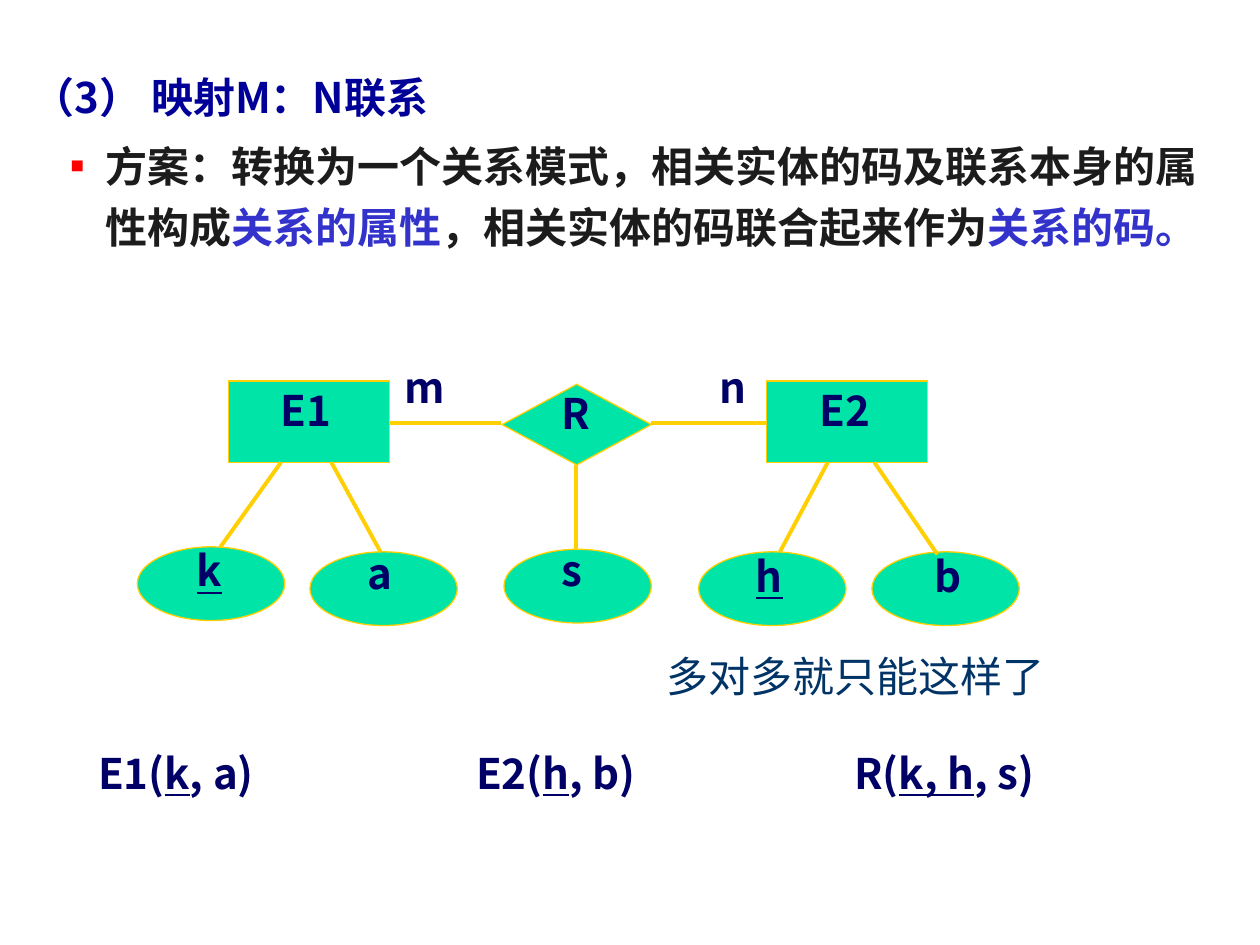
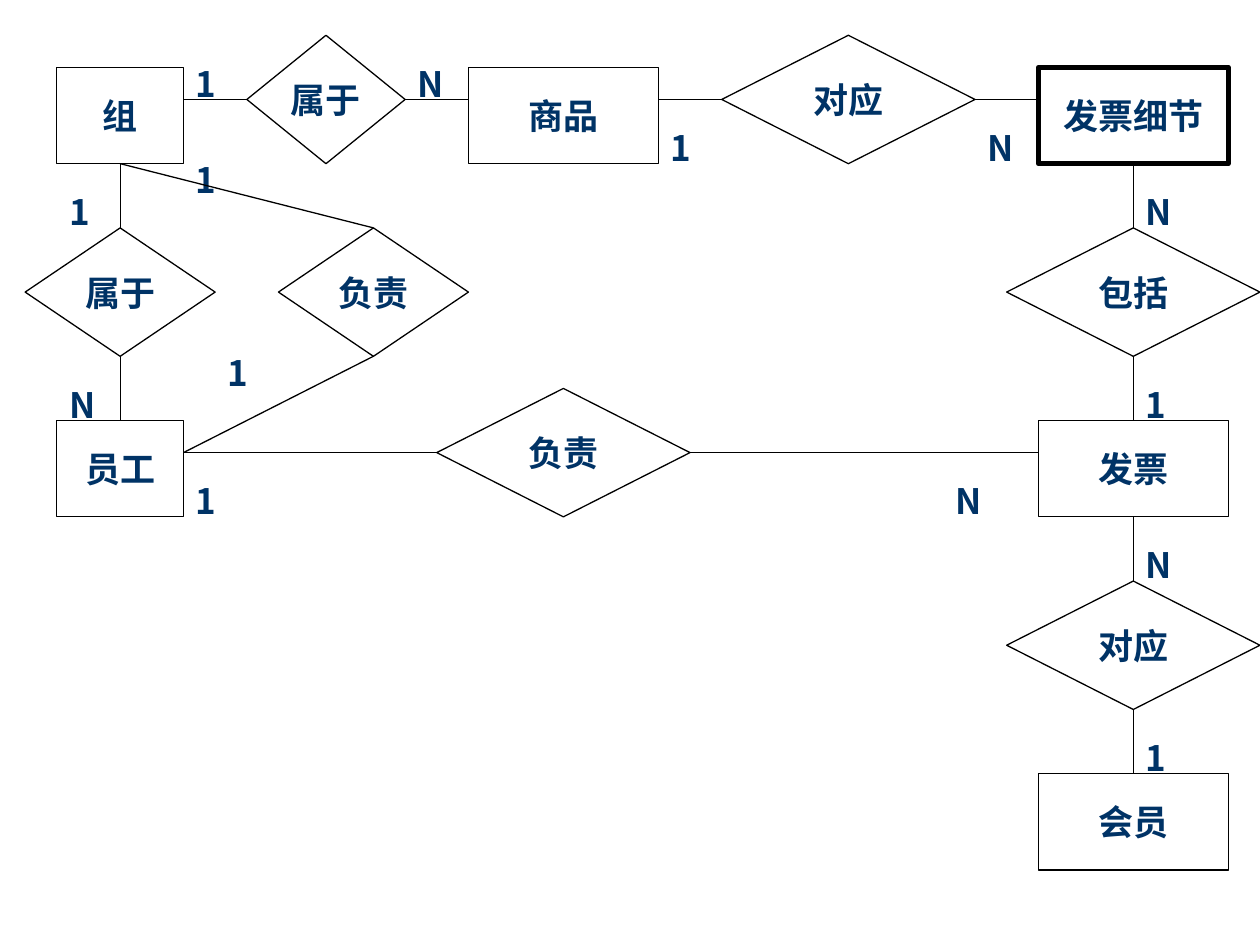
from dataclasses import dataclass

from lxml import etree
from pptx import Presentation
from pptx.dml.color import RGBColor
from pptx.enum.shapes import MSO_CONNECTOR, MSO_SHAPE
from pptx.enum.text import MSO_ANCHOR, MSO_AUTO_SIZE, PP_ALIGN
from pptx.oxml.ns import qn
from pptx.util import Inches, Pt

RECT, OVAL, DIAMOND = MSO_SHAPE.RECTANGLE, MSO_SHAPE.OVAL, MSO_SHAPE.DIAMOND
STRAIGHT = MSO_CONNECTOR.STRAIGHT
TOP, MIDDLE = MSO_ANCHOR.TOP, MSO_ANCHOR.MIDDLE
LEFT, CENTER, JUSTIFY = PP_ALIGN.LEFT, PP_ALIGN.CENTER, PP_ALIGN.JUSTIFY
NO_AUTOFIT = MSO_AUTO_SIZE.NONE

COLORS = {
    "white": "FFFFFF", "black": "000000", "heading": "000099", "body": "1C1C1C",
    "accent": "3333CC", "bullet": "FF0000", "node": "00E4A8", "edge": "FFCF01",
    "label": "000066", "note": "003366",
}
SANS, NOTE_FONT = "Noto Sans CJK SC", "Roboto"
WIDTH, HEIGHT = 10, 7.5


@dataclass
class Grid:
    """Places columns and rows on a slide, in inches."""
    left: float
    top: float
    column: float
    row: float

    def point(self, column, row):
        """Return the position of a grid crossing."""
        return (Inches(self.left + column * self.column),
                Inches(self.top + row * self.row))

    def area(self, column, row, columns, rows):
        """Return left, top, width and height of a block of cells."""
        return (*self.point(column, row),
                Inches(columns * self.column), Inches(rows * self.row))


PAGE = Grid(0, 0, WIDTH / 100, HEIGHT / 75)
CHART = Grid(0.2, 0.28, (WIDTH - 0.2) / 39, 5.86 / 23)


def rgb(name):
    """Return a named colour."""
    return RGBColor.from_string(COLORS[name])


def add_run(paragraph, text, color, size=24, font=SANS, bold=True, underline=False):
    """Append one formatted run with Latin and East Asian fonts."""
    run = paragraph.add_run()
    run.text = text
    run.font.size, run.font.name = Pt(size), font
    run.font.bold, run.font.underline = bold, underline
    run.font.color.rgb = rgb(color)
    latin = run.font._element.find(qn("a:latin"))
    east_asian = etree.Element(qn("a:ea"), typeface=font)
    latin.addnext(east_asian)


def set_indent(paragraph, margin, hanging):
    """Set a hanging indent in inches."""
    properties = paragraph._p.get_or_add_pPr()
    properties.set("marL", str(Inches(margin)))
    properties.set("indent", str(-Inches(hanging)))
    return properties


def add_bullet(properties, glyph=None, size=32):
    """Add a square bullet, or switch bullets off."""
    if glyph is None:
        etree.SubElement(properties, qn("a:buNone"))
        return
    color = etree.SubElement(properties, qn("a:buClr"))
    etree.SubElement(color, qn("a:srgbClr"), val=COLORS["bullet"])
    etree.SubElement(properties, qn("a:buSzPct"), val=str(size * 1000))
    etree.SubElement(properties, qn("a:buFont"), typeface=SANS)
    etree.SubElement(properties, qn("a:buChar"), char=glyph)


def add_tabs(paragraph, positions):
    """Add left tab stops in inches."""
    tabs = etree.SubElement(paragraph._p.get_or_add_pPr(), qn("a:tabLst"))
    for position in positions:
        etree.SubElement(tabs, qn("a:tab"), pos=str(Inches(position)), algn="l")


def add_node(slide, grid, kind, area, fill, outline=None, weight=0.75):
    """Draw a filled shape on the grid."""
    node = slide.shapes.add_shape(kind, *grid.area(*area))
    node.shadow.inherit = False
    node.fill.solid()
    node.fill.fore_color.rgb = rgb(fill)
    if outline:
        node.line.color.rgb = rgb(outline)
        node.line.width = Pt(weight)
    else:
        node.line.fill.background()
    return node


def add_link(slide, grid, start, end, color, weight):
    """Draw a straight line between two grid crossings."""
    link = slide.shapes.add_connector(STRAIGHT, *grid.point(*start), *grid.point(*end))
    link.line.color.rgb = rgb(color)
    link.line.width = Pt(weight)
    etree.SubElement(link._element.spPr, qn("a:effectLst"))


def add_text(slide, area, align=LEFT, anchor=TOP, wrap=True):
    """Add a text box on the page grid and return its paragraph."""
    frame = slide.shapes.add_textbox(*PAGE.area(*area)).text_frame
    frame.word_wrap, frame.vertical_anchor = wrap, anchor
    frame.paragraphs[0].alignment = align
    return frame.paragraphs[0]


def add_named_node(slide, kind, area, text, weight=0.75):
    """Draw an outlined entity or relationship with its name."""
    node = add_node(slide, CHART, kind, area, "white", "black", weight)
    frame = node.text_frame
    frame.margin_left = frame.margin_right = 0
    if kind == DIAMOND:
        frame.margin_top = frame.margin_bottom = 0
    frame.vertical_anchor = MIDDLE
    frame.paragraphs[0].alignment = CENTER
    add_run(frame.paragraphs[0], text, "note", 20)


def add_cardinality(slide, column, row, text):
    """Write a cardinality in a square three cells wide."""
    frame = add_node(slide, CHART, RECT, (column, row, 3, 3), "white").text_frame
    frame.vertical_anchor = MIDDLE
    frame.paragraphs[0].alignment = JUSTIFY
    add_run(frame.paragraphs[0], text, "note", 20)


def add_rule_text(slide):
    """Fill the body placeholder with the mapping rule."""
    slide.shapes.title._element.getparent().remove(slide.shapes.title._element)
    body = slide.placeholders[1]
    body.left, body.top, body.width, body.height = PAGE.area(1.6, 4.4, 96.5, 67.2)
    frame = body.text_frame
    frame.auto_size = NO_AUTOFIT
    heading, rule = frame.paragraphs[0], frame.add_paragraph()
    rule.level = 1
    heading.line_spacing = rule.line_spacing = 1.2
    heading.space_before, rule.space_before = Pt(0), Pt(4.8)
    add_bullet(set_indent(heading, 0.38, 0.38))
    add_bullet(set_indent(rule, 0.58, 0.28), "■")
    add_run(heading, "（3） 映射M：N联系", "heading")
    for text, color in (
        ("方案：转换为一个关系模式，相关实体的码及联系本身的属性构成", "body"),
        ("关系的属性", "accent"),
        ("，相关实体的码联合起来作为", "body"),
        ("关系的码。", "accent"),
    ):
        add_run(rule, text, color)


def build_mapping(slide):
    """Build the many-to-many mapping slide."""
    add_rule_text(slide)
    entities = [(18.15, 30.25), (60.85, 30.25)]
    attributes = [(10.9, 43.4), (24.6, 43.8), (40, 43.6), (55.45, 43.8), (69.2, 43.8)]
    for corner in entities:
        add_node(slide, PAGE, RECT, (*corner, 12.75, 6.45), "node", "edge")
    for corner in attributes:
        add_node(slide, PAGE, OVAL, (*corner, 11.7, 5.85), "node", "edge")
    add_node(slide, PAGE, DIAMOND, (39.85, 30.5, 11.85, 6.4), "node", "edge")
    for start, end in (
        ((22.3, 36.7), (17.5, 43.4)), ((26.3, 36.7), (30.2, 43.8)),
        ((65.7, 36.7), (61.9, 43.8)), ((69.4, 36.7), (74.4, 44)),
        ((39.8, 33.6), (30.9, 33.6)), ((60.9, 33.6), (51.7, 33.6)),
        ((45.7, 36.9), (45.7, 43.6)),
    ):
        add_link(slide, PAGE, start, end, "edge", 2.25)

    for text, left, top, width in (
        ("E1", 21.3, 30, 6), ("E2", 64.05, 30, 6), ("R", 43.6, 30.2, 4.4),
        ("m", 31.1, 28.1, 5.3), ("n", 56.1, 28.1, 4.2),
        ("k", 14.65, 42.7, 4), ("a", 28.2, 42.9, 4), ("s", 43.6, 42.7, 3.7),
        ("h", 59, 43.1, 4.2), ("b", 73.2, 43.1, 4.3),
    ):
        label = add_text(slide, (left, top, width, 5.1), anchor=MIDDLE, wrap=False)
        add_run(label, text, "label", underline=text in ("k", "h"))

    schemas = add_text(slide, (6.8, 58.4, 89.8, 5.5))
    schemas.line_spacing = 1.1
    add_tabs(schemas, (3, 6))
    for opening, key, closing in (
        ("E1(", "k", ", a)\t"), ("E2(", "h", ", b)\t"), ("R(", "k, h", ", s)"),
    ):
        add_run(schemas, opening, "label")
        add_run(schemas, key, "label", underline=True)
        add_run(schemas, closing, "label")
    remark = add_text(slide, (48, 51.1, 39.8, 5), CENTER)
    add_run(remark, "多对多就只能这样了", "note", font=NOTE_FONT, bold=False)


def build_invoice_model(slide):
    """Build the entity-relationship diagram of the invoices."""
    cardinalities = {
        "N": [(12, 0), (30, 2), (35, 4), (35, 15), (29, 13), (1, 10)],
        "1": [(6, 9), (5, 3), (20, 2), (35, 10), (35, 21), (5, 13), (1, 4), (5, 0)],
    }
    for text, corners in cardinalities.items():
        for column, row in corners:
            add_cardinality(slide, column, row, text)
    for text, column, row, columns, weight in (
        ("组", 1, 1, 4, 0.75), ("商品", 14, 1, 6, 0.75), ("发票细节", 32, 1, 6, 3),
        ("员工", 1, 12, 4, 0.75), ("发票", 32, 12, 6, 0.75), ("会员", 32, 23, 6, 0.75),
    ):
        add_named_node(slide, RECT, (column, row, columns, 3), text, weight)
    for text, column, row, columns in (
        ("属于", 7, 0, 5), ("对应", 22, 0, 8), ("属于", 0, 6, 6), ("负责", 8, 6, 6),
        ("包括", 31, 6, 8), ("负责", 13, 11, 8), ("对应", 31, 17, 8),
    ):
        add_named_node(slide, DIAMOND, (column, row, columns, 4), text)

    across = [(5, 7, 2), (12, 14, 2), (20, 22, 2), (30, 32, 2), (5, 13, 13), (21, 32, 13)]
    down = [(3, 4, 6), (3, 10, 12), (35, 4, 6), (35, 10, 12), (35, 15, 17), (35, 21, 23)]
    links = [((first, row), (last, row)) for first, last, row in across]
    links += [((column, first), (column, last)) for column, first, last in down]
    links += [((11, 6), (3, 4)), ((11, 10), (5, 13))]
    for start, end in links:
        add_link(slide, CHART, start, end, "black", 0.75)


def main():
    """Build and save the presentation."""
    deck = Presentation()
    deck.slide_width, deck.slide_height = Inches(WIDTH), Inches(HEIGHT)
    build_mapping(deck.slides.add_slide(deck.slide_layouts[1]))
    build_invoice_model(deck.slides.add_slide(deck.slide_layouts[6]))
    deck.save("out.pptx")


if __name__ == "__main__":
    main()
